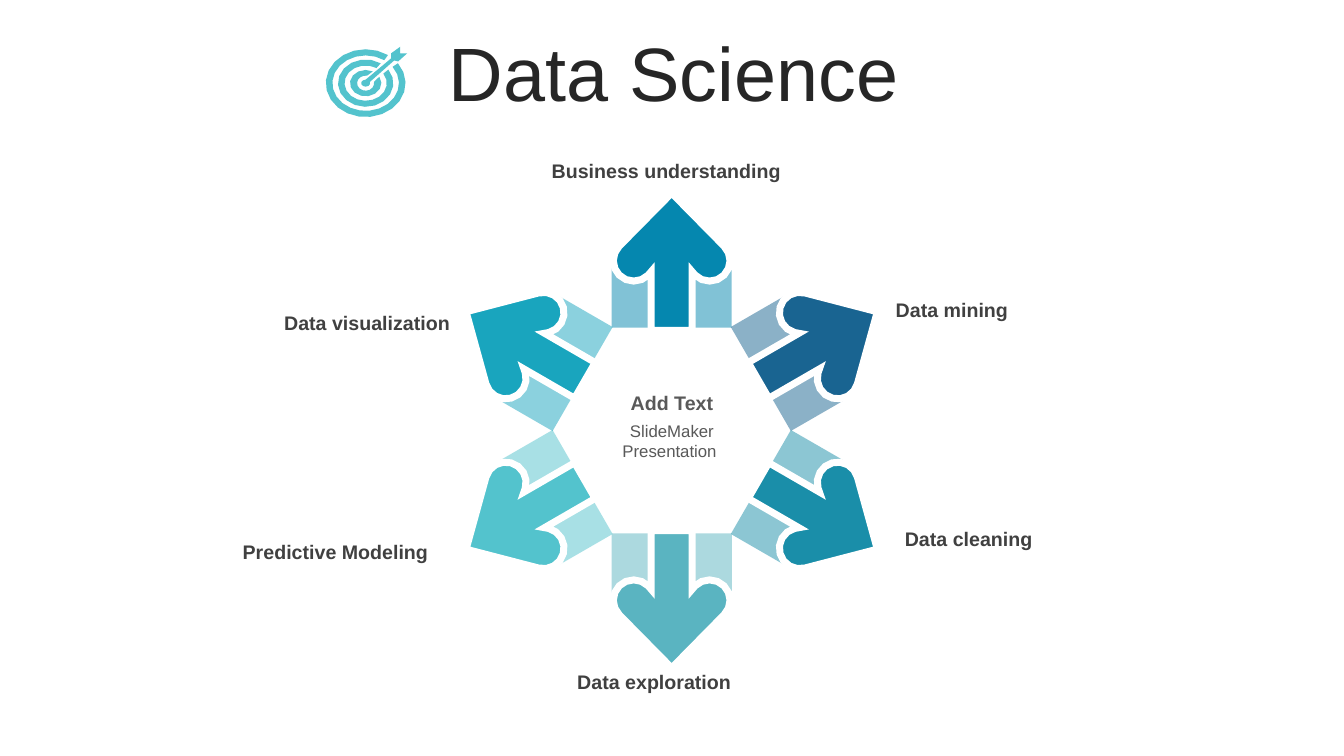
from math import cos, sin, radians
from pptx import Presentation
from pptx.dml.color import RGBColor
from pptx.enum.shapes import MSO_SHAPE
from pptx.enum.text import MSO_ANCHOR, PP_ALIGN
from pptx.oxml.ns import qn
from pptx.util import Pt
from lxml.etree import SubElement

LEFT, MID, RIGHT = PP_ALIGN.LEFT, PP_ALIGN.CENTER, PP_ALIGN.RIGHT
HEAD = dict(size=Pt(54), color="262626")
LABEL = dict(size=Pt(14), bold=True, color="404040")
CORE = dict(size=Pt(14), bold=True, color="595959")
NOTE = dict(size=Pt(12), color="595959")
HUES = ["0587AF", "196491", "1A8EA9", "5AB4C1", "53C3CD", "19A5BE"]


def tint(target, code):
    """Give a fill or font colour from a hex string."""
    target.rgb = RGBColor.from_string(code)


def paint(shape, code, alpha=None, edge=None):
    """Fill a shape, with optional opacity percent and mitred white edge."""
    shape.shadow.inherit = False
    shape.fill.solid()
    tint(shape.fill.fore_color, code)
    if alpha:
        clr = shape.fill._xPr.find(qn("a:solidFill"))[0]
        SubElement(clr, qn("a:alpha")).set("val", str(alpha * 1000))
    if edge:
        shape.line.width = Pt(edge)
        tint(shape.line.color, "FFFFFF")
        line = shape.element.spPr.find(qn("a:ln"))
        SubElement(line, qn("a:miter")).set("lim", "800000")
    else:
        shape.line.fill.background()


def write(slide, box, text, style, align=MID):
    """Put one styled paragraph in a box and return its frame."""
    frame = slide.shapes.add_textbox(*map(Pt, box)).text_frame
    frame.word_wrap = True
    para = frame.paragraphs[0]
    para.text, para.alignment = text, align
    font = para.runs[0].font
    for key, value in {"name": "Arial", **style}.items():
        if key == "color":
            tint(font.color, value)
        else:
            setattr(font, key, value)
    return frame


def arc(x, y, rx, ry, start, end, steps=8):
    """List points of an elliptic arc, angles counted upward from the right."""
    turns = [radians(start + (end - start) * i / steps) for i in range(steps + 1)]
    return [(x + rx * cos(t), y - ry * sin(t)) for t in turns]


def trace(slide, loops):
    """Draw closed loops of points as one freeform."""
    loops = [[(Pt(x), Pt(y)) for x, y in loop] for loop in loops]
    pen = slide.shapes.build_freeform(*loops[0][0], scale=1.0)
    for i, loop in enumerate(loops):
        if i:
            pen.move_to(*loop[0])
        pen.add_line_segments(loop[1:], close=True)
    return pen.convert_to_shape()


def title(slide, box):
    """Write the heading in its box."""
    frame = write(slide, box, "Data Science", HEAD)
    frame.vertical_anchor = MSO_ANCHOR.MIDDLE
    frame.paragraphs[0].line_spacing = 0.9


def target(slide, box):
    """Draw the target with its dart in the given box."""
    left, top, wide, high = box
    x, y = left + 28.6, top + 25.6
    rings = [(28.5, 24.2, 10, 23.8, 19.8, 10, 20),
             (19.8, 16.9, 11, 15.1, 12.6, 13, 16),
             (11.2, 9.4, 17, 6.1, 5.4, 35, 12)]
    loops = [arc(x, y, rx, ry, 46 + gap, 406 - gap, steps)
             + arc(x, y, sx, sy, 406 - slit, 46 + slit, steps)
             for rx, ry, gap, sx, sy, slit, steps in rings]
    dart = [(46.8, 7.9), (46.8, 4.3), (53.3, -0.4), (53.3, 4.3),
            (wide, 4.3), (51.8, 10.1), (49, 9.4)]
    loops.append([(left + a, top + b) for a, b in dart]
                 + arc(x, y, 3.2, 2.5, 20, -270))
    paint(trace(slide, loops), "53C3CD")


def wheel(slide, box):
    """Place six arrows on pale blocks around a text core."""
    left, top, wide, high = box
    x, y = left + wide / 2, top + high / 2
    half = arc(27.1, -121.3, 14.6, 14.6, 45, -135) + [(14.7, -113.4), (14.7, -71.6)]
    form = [(0, -169.6)] + half + [(-a, b) for a, b in reversed(half)]
    for i, hue in enumerate(HUES):
        c, s = cos(radians(60 * i)), sin(radians(60 * i))
        spot = (x + 96.2 * s - 42.9, y - 96.2 * c - 22.7, 85.8, 45.4)
        block = slide.shapes.add_shape(MSO_SHAPE.RECTANGLE, *map(Pt, spot))
        block.rotation = 60 * i
        paint(block, hue, alpha=50)
        loop = [(x + a * c - b * s, y + a * s + b * c) for a, b in form]
        paint(trace(slide, [loop]), hue, edge=5)
    write(slide, (x - 50.2, y - 31.8, 100.8, 24.5), "Add Text", CORE)
    write(slide, (x - 50.2, y - 10.8, 100.8, 36), "SlideMaker Presentation ", NOTE)


def labels(slide, box):
    """Write the step names around the wheel box."""
    steps = [("Business understanding", -0.5, -27.3, RIGHT),
             ("Data mining", 322.9, 71.8, LEFT),
             ("Data cleaning", 329.4, 235.5, LEFT),
             ("Data exploration", 95.4, 337.5, LEFT),
             ("Predictive Modeling", -252.4, 244.8, RIGHT),
             ("Data visualization", -236.8, 80.7, RIGHT)]
    for text, dx, dy, align in steps:
        spot = (box[0] + dx, box[1] + dy, 255.6, 24.5)
        write(slide, spot, text, LABEL, align)


def main():
    """Build and save the slide."""
    deck = Presentation()
    deck.slide_width, deck.slide_height = Pt(960), Pt(540)
    slide = deck.slides.add_slide(deck.slide_layouts[6])
    ring = (309.8, 137.5, 340, 340)
    title(slide, (25.4, 26.6, 911.8, 56.9))
    wheel(slide, ring)
    labels(slide, ring)
    target(slide, (232.6, 33.8, 58.3, 50.4))
    deck.save("out.pptx")


if __name__ == "__main__":
    main()
